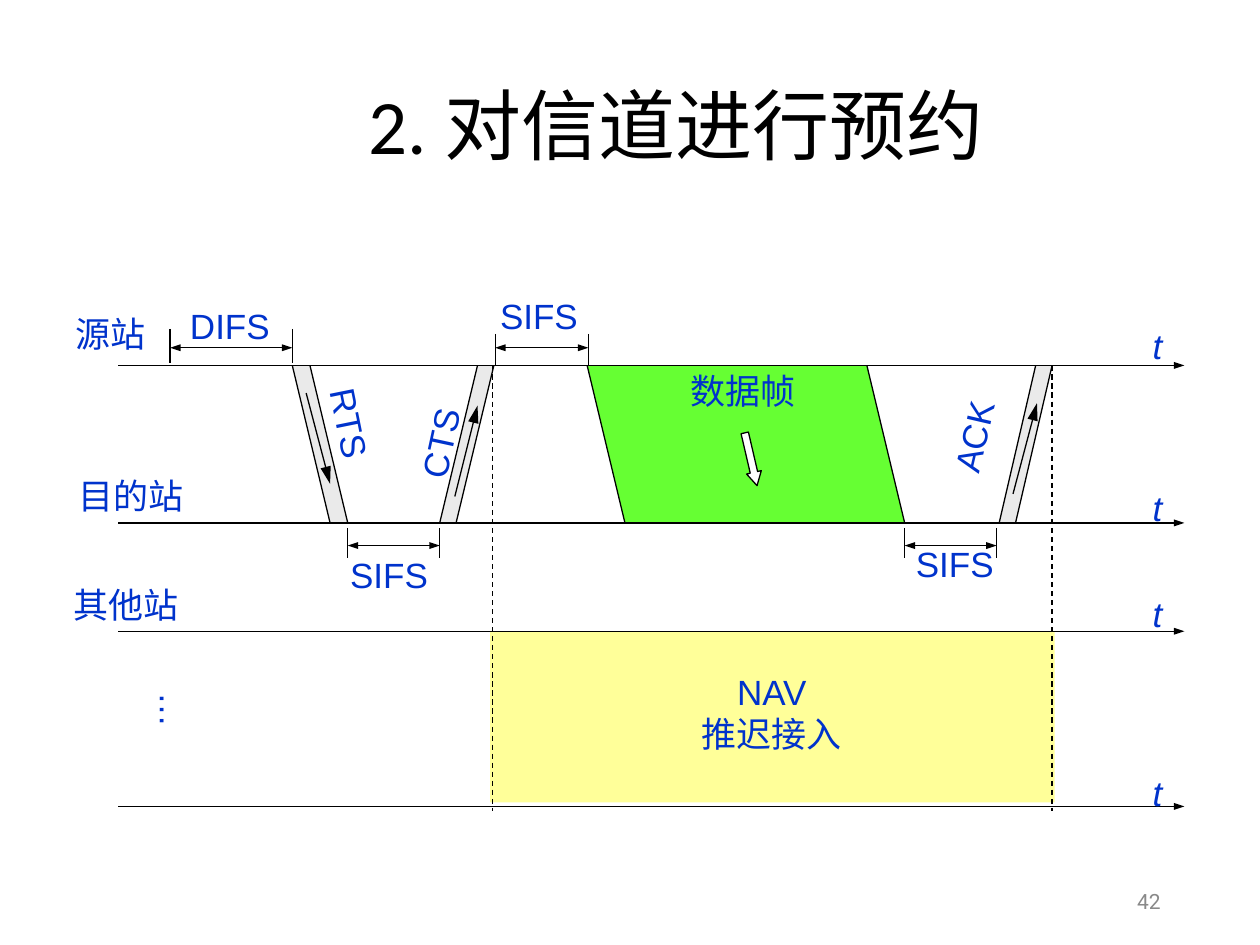
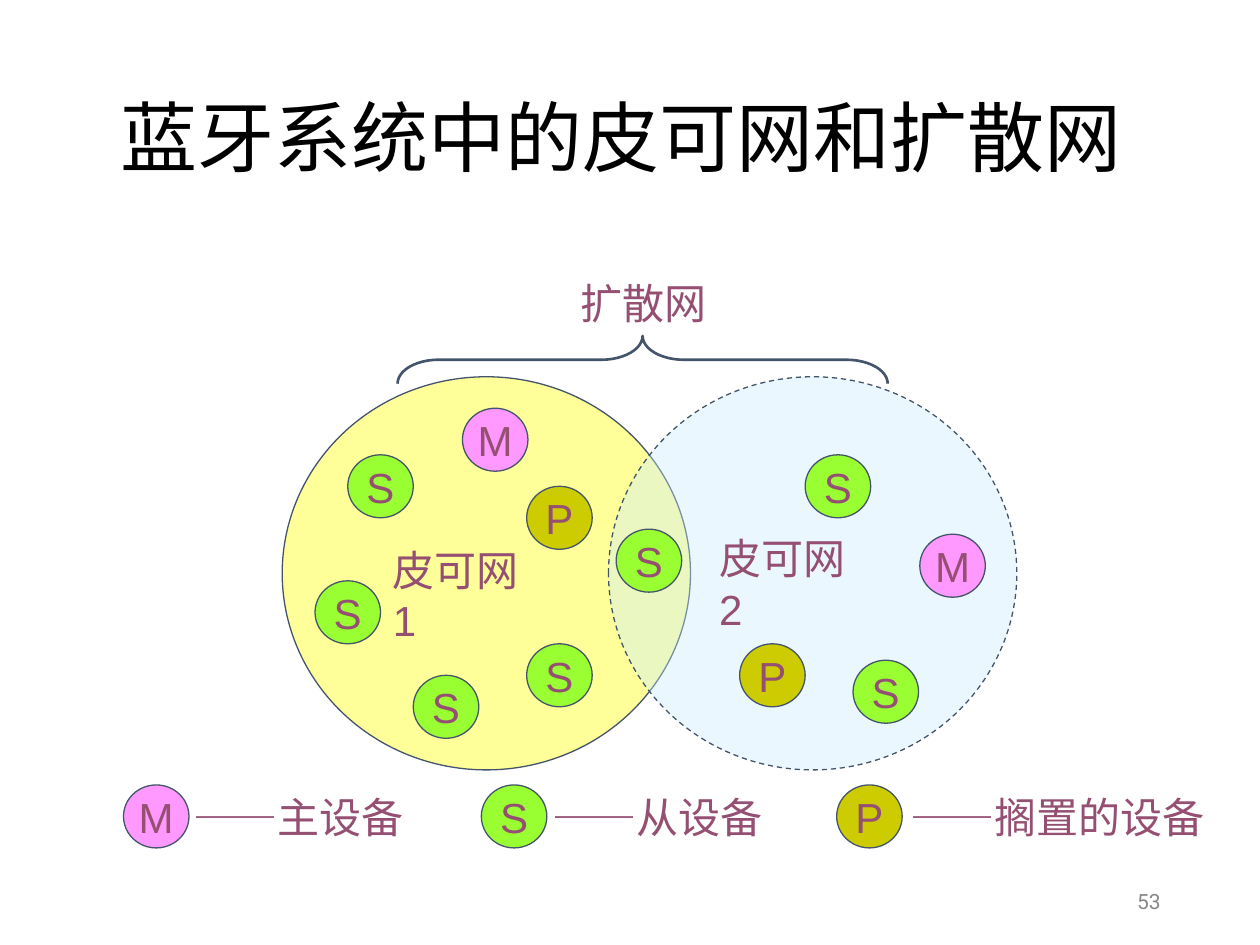
from dataclasses import dataclass

from lxml import etree
from pptx import Presentation
from pptx.dml.color import RGBColor
from pptx.enum.dml import MSO_LINE
from pptx.enum.shapes import MSO_CONNECTOR, MSO_SHAPE
from pptx.enum.text import MSO_ANCHOR, MSO_AUTO_SIZE, PP_ALIGN
from pptx.oxml.ns import qn
from pptx.util import Pt

PX = 9144  # EMU per px, 100 px to the inch

BLACK = RGBColor(0x00, 0x00, 0x00)
WHITE = RGBColor(0xFF, 0xFF, 0xFF)
BLUE = RGBColor(0x00, 0x33, 0xCC)
PLUM = RGBColor(0x95, 0x4F, 0x72)
SLATE = RGBColor(0x44, 0x54, 0x6A)
GREY = RGBColor(0x89, 0x89, 0x89)
PALE_GREY = RGBColor(0xEA, 0xEA, 0xEA)
YELLOW = RGBColor(0xFF, 0xFF, 0x99)
DATA_GREEN = RGBColor(0x66, 0xFF, 0x33)
PALE_BLUE = RGBColor(0xCC, 0xEC, 0xFF)
PINK = RGBColor(0xFF, 0x99, 0xFF)
LIME = RGBColor(0x99, 0xFF, 0x33)
OLIVE = RGBColor(0xCC, 0xCC, 0x00)

LEFT, CENTER, RIGHT = PP_ALIGN.LEFT, PP_ALIGN.CENTER, PP_ALIGN.RIGHT
TOP, MIDDLE = MSO_ANCHOR.TOP, MSO_ANCHOR.MIDDLE
OVAL, RECTANGLE = MSO_SHAPE.OVAL, MSO_SHAPE.RECTANGLE
DOWN_ARROW, RIGHT_BRACE = MSO_SHAPE.DOWN_ARROW, MSO_SHAPE.RIGHT_BRACE
STRAIGHT, DASH = MSO_CONNECTOR.STRAIGHT, MSO_LINE.DASH
GROW = MSO_AUTO_SIZE.SHAPE_TO_FIT_TEXT

HEAD_FONT, TEXT_FONT, NAME_FONT = "Calibri", "Arial", "Roboto"


@dataclass(frozen=True)
class Style:
    size: int
    color: RGBColor
    font: str = TEXT_FONT
    italic: bool = False


TITLE = Style(44, BLACK, HEAD_FONT)
NUMBER = Style(12, GREY, NAME_FONT)
SIGNAL = Style(20, BLUE)
TIME = Style(20, BLUE, italic=True)
DEVICE = Style(24, PLUM)


@dataclass(frozen=True)
class Label:
    text: str
    left: int
    top: int
    width: int
    align: PP_ALIGN = LEFT
    rotation: float = 0
    height: int = 43


@dataclass(frozen=True)
class Frame:
    left: int  # upper left corner
    width: int
    slant: int  # shift of the lower edge
    fill: RGBColor


@dataclass(frozen=True)
class Interval:
    left: int
    right: int
    arrow_y: int
    tick_top: int
    tick_bottom: int


@dataclass(frozen=True)
class Kind:
    letter: str
    fill: RGBColor
    name: str
    legend_left: int
    name_left: int
    name_width: int


@dataclass(frozen=True)
class Head:
    width: str
    length: str


SLIM_HEAD = Head("sm", "med")
LONG_HEAD = Head("med", "lg")


# Shared drawing

def style_text(paragraph, style: Style, align: PP_ALIGN) -> None:
    paragraph.alignment = align
    font = paragraph.font
    font.name, font.size = style.font, Pt(style.size)
    font.color.rgb = style.color
    if style.italic:
        font.italic = True


def add_text(page, label: Label, style: Style, wrap: bool = False,
             anchor: MSO_ANCHOR = TOP):
    box = page.shapes.add_textbox(label.left * PX, label.top * PX,
                                  label.width * PX, label.height * PX)
    box.rotation = label.rotation
    frame = box.text_frame
    frame.word_wrap = wrap
    frame.vertical_anchor = anchor
    if not wrap:
        frame.auto_size = GROW
    frame.text = label.text
    for paragraph in frame.paragraphs:
        style_text(paragraph, style, label.align)
    return box


def add_figure(page, kind: MSO_SHAPE, left: int, top: int, width: int,
               height: int, fill: RGBColor | None, line: RGBColor | None = None,
               weight: float = 0.75):
    shape = page.shapes.add_shape(kind, left * PX, top * PX, width * PX, height * PX)
    paint(shape, fill, line, weight)
    return shape


def paint(shape, fill: RGBColor | None, line: RGBColor | None = None,
          weight: float = 0.75) -> None:
    shape.shadow.inherit = False
    if fill is None:
        shape.fill.background()
    else:
        shape.fill.solid()
        shape.fill.fore_color.rgb = fill
    if line is None:
        shape.line.fill.background()
    else:
        shape.line.color.rgb = line
        shape.line.width = Pt(weight)


def add_line(page, x1: int, y1: int, x2: int, y2: int, start: Head | None = None,
             end: Head | None = None, dashed: bool = False) -> None:
    line = page.shapes.add_connector(STRAIGHT, x1 * PX, y1 * PX, x2 * PX, y2 * PX)
    line.line.color.rgb = BLACK
    line.line.width = Pt(0.75)
    if dashed:
        line.line.dash_style = DASH
    outline = line.line._get_or_add_ln()
    for head, tag in ((start, "a:headEnd"), (end, "a:tailEnd")):
        if head:
            etree.SubElement(outline, qn(tag), type="triangle", w=head.width,
                             len=head.length)
    etree.SubElement(line._element.spPr, qn("a:effectLst"))


def add_page(deck, title: Label, number: int):
    page = deck.slides.add_slide(deck.slide_layouts[6])
    box = add_text(page, title, TITLE, wrap=True, anchor=MIDDLE)
    box.text_frame.paragraphs[0].line_spacing = 0.9
    add_text(page, Label(str(number), 706, 695, 225, RIGHT, height=40), NUMBER,
             wrap=True, anchor=MIDDLE)
    return page


# Channel reservation

SOURCE_Y, TARGET_Y, OTHERS_Y, LAST_Y = 290, 415, 501, 640
NAV_LEFT, NAV_RIGHT = 391, 835

FRAMES = (
    Frame(466, 222, 30, DATA_GREEN),
    Frame(379, 13, -30, PALE_GREY),
    Frame(232, 14, 30, PALE_GREY),
    Frame(822, 13, -29, PALE_GREY),
)
INTERVALS = (
    Interval(135, 232, 276, 261, 288),
    Interval(393, 467, 276, 265, 290),
    Interval(276, 349, 433, 419, 443),
    Interval(718, 791, 433, 419, 443),
)
FRAME_ARROWS = ((243, 312, 262, 384), (361, 394, 379, 322), (804, 392, 823, 320))
SIGNAL_LABELS = (
    Label("源站", 45, 243, 86, CENTER),
    Label("目的站", 44, 372, 120, CENTER),
    Label("其他站", 40, 458, 120, CENTER),
    Label("…", 114, 542, 48, rotation=90),
    Label("DIFS", 141, 237, 84),
    Label("SIFS", 387, 229, 82),
    Label("SIFS", 268, 434, 82),
    Label("SIFS", 717, 426, 82),
    Label("RTS", 240, 315, 76, rotation=78.6),
    Label("CTS", 311, 330, 76, rotation=282.2),
    Label("ACK", 734, 325, 77, CENTER, rotation=283),
    Label("数据帧", 530, 288, 120, CENTER),
    Label("NAV\n推迟接入", 537, 527, 151, CENTER, height=77),
)


def add_frame(page, frame: Frame) -> None:
    right = frame.left + frame.width
    builder = page.shapes.build_freeform(frame.left, SOURCE_Y, scale=PX)
    builder.add_line_segments([(right, SOURCE_Y), (right + frame.slant, TARGET_Y),
                               (frame.left + frame.slant, TARGET_Y)])
    paint(builder.convert_to_shape(), frame.fill)
    for x in (frame.left, right):
        add_line(page, x, SOURCE_Y, x + frame.slant, TARGET_Y)


def add_interval(page, interval: Interval) -> None:
    for x in (interval.left, interval.right):
        add_line(page, x, interval.tick_top, x, interval.tick_bottom)
    add_line(page, interval.left, interval.arrow_y, interval.right,
             interval.arrow_y, start=SLIM_HEAD, end=SLIM_HEAD)


def build_reservation(deck) -> None:
    page = add_page(deck, Label("2. 对信道进行预约", 93, 23, 888, CENTER, height=160), 42)
    add_figure(page, RECTANGLE, 389, 501, 448, 136, YELLOW)
    for frame in FRAMES:
        add_frame(page, frame)
    for interval in INTERVALS:
        add_interval(page, interval)
    for x in (NAV_LEFT, NAV_RIGHT):
        add_line(page, x, SOURCE_Y, x, 644, dashed=True)
    # Time axes
    for y, label_top in ((SOURCE_Y, 253), (TARGET_Y, 381), (OTHERS_Y, 465), (LAST_Y, 607)):
        add_line(page, 94, y, 940, y, end=SLIM_HEAD)
        add_text(page, Label("t", 905, label_top, 28), TIME)
    # Directions of the frames
    for ends in FRAME_ARROWS:
        add_line(page, *ends, end=LONG_HEAD)
    arrow = add_figure(page, DOWN_ARROW, 590, 343, 12, 43, WHITE, BLACK)
    arrow.adjustments[0], arrow.adjustments[1] = 0.5, 0.9
    arrow.rotation = 346.9
    for label in SIGNAL_LABELS:
        add_text(page, label, SIGNAL)


# Piconets and scatternet

MASTER = Kind("M", PINK, "主设备", 98, 144, 187)
SLAVE = Kind("S", LIME, "从设备", 382, 429, 187)
PARKED = Kind("P", OLIVE, "搁置的设备", 664, 713, 253)
LEGEND_TOP = 623

DEVICES = (
    (MASTER, ((367, 324), (730, 424))),
    (SLAVE, ((250, 461), (276, 361), (489, 420), (418, 511), (328, 536),
             (677, 524), (639, 361))),
    (PARKED, ((587, 511), (418, 386))),
)


def add_device(page, kind: Kind, left: int, top: int) -> None:
    frame = add_figure(page, OVAL, left, top, 52, 50, kind.fill, SLATE).text_frame
    frame.word_wrap = False
    frame.vertical_anchor = MIDDLE
    frame.text = kind.letter
    style_text(frame.paragraphs[0], DEVICE, CENTER)


def add_legend(page, kind: Kind) -> None:
    add_device(page, kind, kind.legend_left, LEGEND_TOP)
    box = add_text(page, Label("——", kind.name_left, LEGEND_TOP, kind.name_width,
                               height=50), DEVICE)
    span = box.text_frame.paragraphs[0].add_run()
    span.text = kind.name
    span.font.name = NAME_FONT


def build_piconets(deck) -> None:
    page = add_page(deck, Label("蓝牙系统中的皮可网和扩散网", 62, 40, 862, CENTER,
                                height=145), 53)
    add_figure(page, OVAL, 224, 299, 324, 312, YELLOW, SLATE)
    second = add_figure(page, OVAL, 483, 299, 324, 312, PALE_BLUE, SLATE)
    second.line.dash_style = DASH
    color = second._element.spPr.find(qn("a:solidFill"))[0]
    etree.SubElement(color, qn("a:alpha")).set("val", "39000")
    for kind, places in DEVICES:
        for left, top in places:
            add_device(page, kind, left, top)
    # Names of the networks
    for label in (Label("皮可网 1", 302, 427, 130, height=90),
                  Label("皮可网 2", 561, 418, 130, height=90)):
        add_text(page, label, DEVICE, wrap=True)
    add_text(page, Label("扩散网", 451, 215, 120, height=50), DEVICE)
    brace = add_figure(page, RIGHT_BRACE, 491, 91, 38, 389, None, SLATE, 1.5)
    brace.adjustments[0], brace.adjustments[1] = 0.86, 0.5
    brace.rotation = 270
    for kind in (MASTER, SLAVE, PARKED):
        add_legend(page, kind)


def main() -> None:
    deck = Presentation()
    deck.slide_width, deck.slide_height = 1000 * PX, 750 * PX
    build_reservation(deck)
    build_piconets(deck)
    deck.save("out.pptx")


if __name__ == "__main__":
    main()
